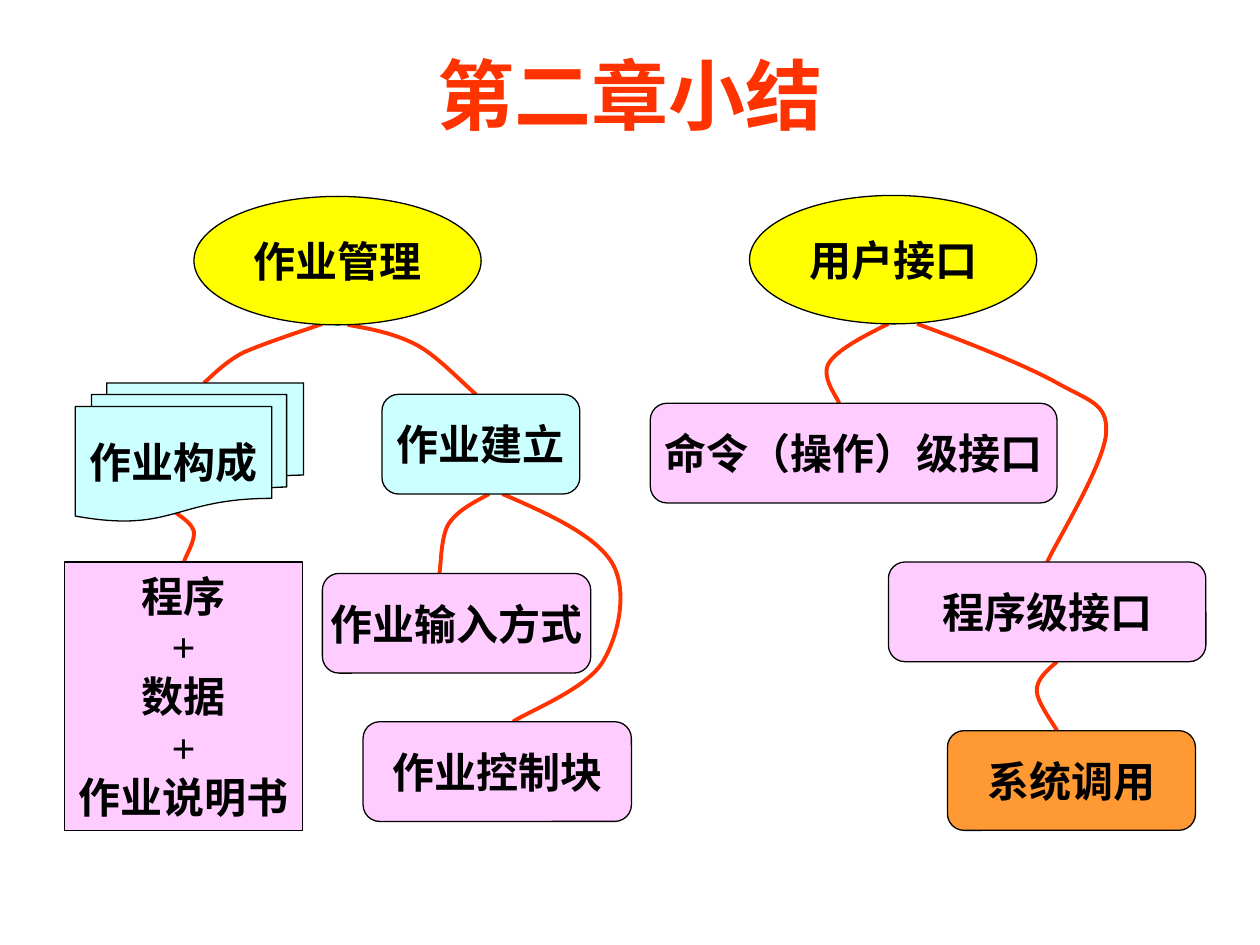
from lxml import etree
from pptx import Presentation
from pptx.dml.color import RGBColor
from pptx.enum.shapes import MSO_SHAPE
from pptx.enum.text import MSO_ANCHOR, PP_ALIGN
from pptx.oxml.ns import qn
from pptx.util import Cm, Pt

OVAL = MSO_SHAPE.OVAL
RECTANGLE = MSO_SHAPE.RECTANGLE
ROUNDED = MSO_SHAPE.ROUNDED_RECTANGLE
DOCUMENTS = MSO_SHAPE.FLOWCHART_MULTIDOCUMENT
MIDDLE = MSO_ANCHOR.MIDDLE
CENTER = PP_ALIGN.CENTER

FONT = "Times New Roman"
COLORS = {
    "red": "FF3300",
    "black": "000000",
    "yellow": "FFFF00",
    "cyan": "CCFFFF",
    "pink": "FFCCFF",
    "orange": "FF9933",
}
BOX_HEIGHT = 2.01


def color(name):
    return RGBColor.from_string(COLORS[name])


def format_text(text_frame, size, color_name):
    text_frame.vertical_anchor = MIDDLE
    for paragraph in text_frame.paragraphs:
        paragraph.alignment = CENTER
        for span in paragraph.runs:
            span.font.name = FONT
            span.font.size = Pt(size)
            span.font.bold = True
            span.font.color.rgb = color(color_name)


deck = Presentation()
deck.slide_width, deck.slide_height = Cm(25.4), Cm(19.05)
page = deck.slides.add_slide(deck.slide_layouts[5])

title = page.shapes.title
title.left, title.top, title.width, title.height = Cm(1.9), Cm(0.71), Cm(21.6), Cm(2.34)
title.text_frame.text = "第二章小结"
format_text(title.text_frame, 44, "red")

# Each curve: start point, then two control points and an end point per segment
curves = [
    # 作业管理 to 作业构成, and on to its parts
    [(6.5, 6.53), (5.92, 6.73), (5.31, 6.93), (4.9, 7.11),
     (4.5, 7.32), (4.24, 7.62), (4.11, 7.72)],
    [(3.51, 10.31), (3.68, 10.44), (3.86, 10.54), (3.91, 10.72),
     (3.94, 10.9), (3.73, 11.23), (3.71, 11.33)],
    # 作业管理 to 作业建立, and on to its two branches
    [(7.01, 6.55), (7.49, 6.63), (7.98, 6.73), (8.41, 6.96),
     (8.84, 7.19), (9.4, 7.8), (9.6, 7.95)],
    [(9.86, 9.96), (9.55, 10.13), (9.22, 10.29), (9.04, 10.57),
     (8.89, 10.82), (8.89, 11.38), (8.86, 11.56)],
    [(10.13, 9.96), (11.07, 10.36), (12.01, 10.8), (12.34, 11.35),
     (12.67, 11.91), (12.47, 12.83), (12.14, 13.36),
     (11.81, 13.89), (10.64, 14.35), (10.34, 14.55)],
    # 用户接口 to its two levels, and on to 系统调用
    [(17.91, 6.53), (17.4, 6.78), (16.87, 7.06), (16.71, 7.32),
     (16.54, 7.59), (16.87, 8.0), (16.92, 8.13)],
    [(18.49, 6.53), (19.58, 6.93), (20.68, 7.37), (21.31, 7.72),
     (21.95, 8.08), (22.33, 8.13), (22.3, 8.71),
     (22.28, 9.32), (21.31, 10.9), (21.11, 11.33)],
    [(21.31, 13.34), (21.11, 13.51), (20.9, 13.69), (20.9, 13.92),
     (20.9, 14.15), (21.23, 14.58), (21.31, 14.73)],
]

topics = [
    (OVAL, "作业管理", 3.91, 3.96, 5.79, 2.59, "yellow"),
    (OVAL, "用户接口", 15.11, 3.94, 5.79, 2.59, "yellow"),
    (DOCUMENTS, "作业构成", 1.52, 7.72, 4.6, 2.79, "cyan"),
    (RECTANGLE, "程序\n+\n数据\n+\n作业说明书", 1.3, 11.33, 4.8, 5.41, "pink"),
    (ROUNDED, "作业建立", 7.7, 7.95, 3.99, BOX_HEIGHT, "cyan"),
    (ROUNDED, "作业输入方式", 6.5, 11.56, 5.41, BOX_HEIGHT, "pink"),
    (ROUNDED, "作业控制块", 7.32, 14.55, 5.41, BOX_HEIGHT, "pink"),
    (ROUNDED, "命令（操作）级接口", 13.11, 8.13, 8.2, BOX_HEIGHT, "pink"),
    (ROUNDED, "程序级接口", 17.91, 11.33, 6.4, BOX_HEIGHT, "pink"),
    (ROUNDED, "系统调用", 19.1, 14.73, 5.0, BOX_HEIGHT, "orange"),
]

for points in curves:
    start, *rest = [(Cm(x), Cm(y)) for x, y in points]
    builder = page.shapes.build_freeform(*start)
    builder.add_line_segments(rest, close=False)
    curve = builder.convert_to_shape()
    curve.shadow.inherit = False
    curve.fill.background()
    curve.line.color.rgb = color("red")
    curve.line.width = Pt(2.25)
    # Turn every three straight segments into one Bézier segment
    outline = curve.element.find(".//" + qn("a:path"))
    for index, segment in enumerate(outline.findall(qn("a:lnTo"))):
        if index % 3 == 0:
            bezier = etree.SubElement(outline, qn("a:cubicBezTo"))
        bezier.append(segment[0])
        outline.remove(segment)

for kind, text, left, top, width, height, fill in topics:
    box = page.shapes.add_shape(kind, Cm(left), Cm(top), Cm(width), Cm(height))
    box.shadow.inherit = False
    box.fill.solid()
    box.fill.fore_color.rgb = color(fill)
    box.line.color.rgb = color("black")
    box.line.width = Pt(0.75)
    box.text_frame.text = text
    box.text_frame.word_wrap = False
    format_text(box.text_frame, 24, "black")

deck.save("out.pptx")
